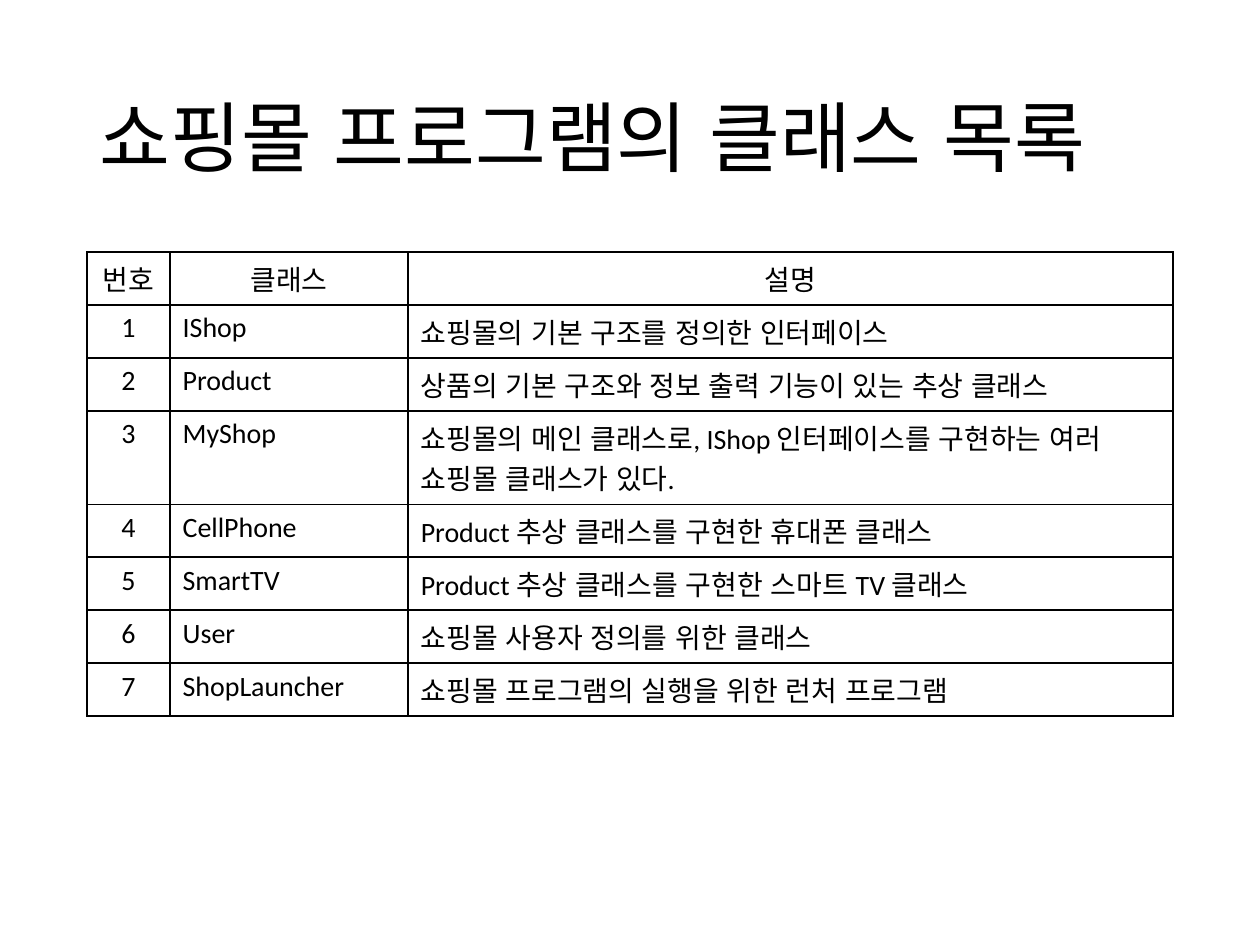
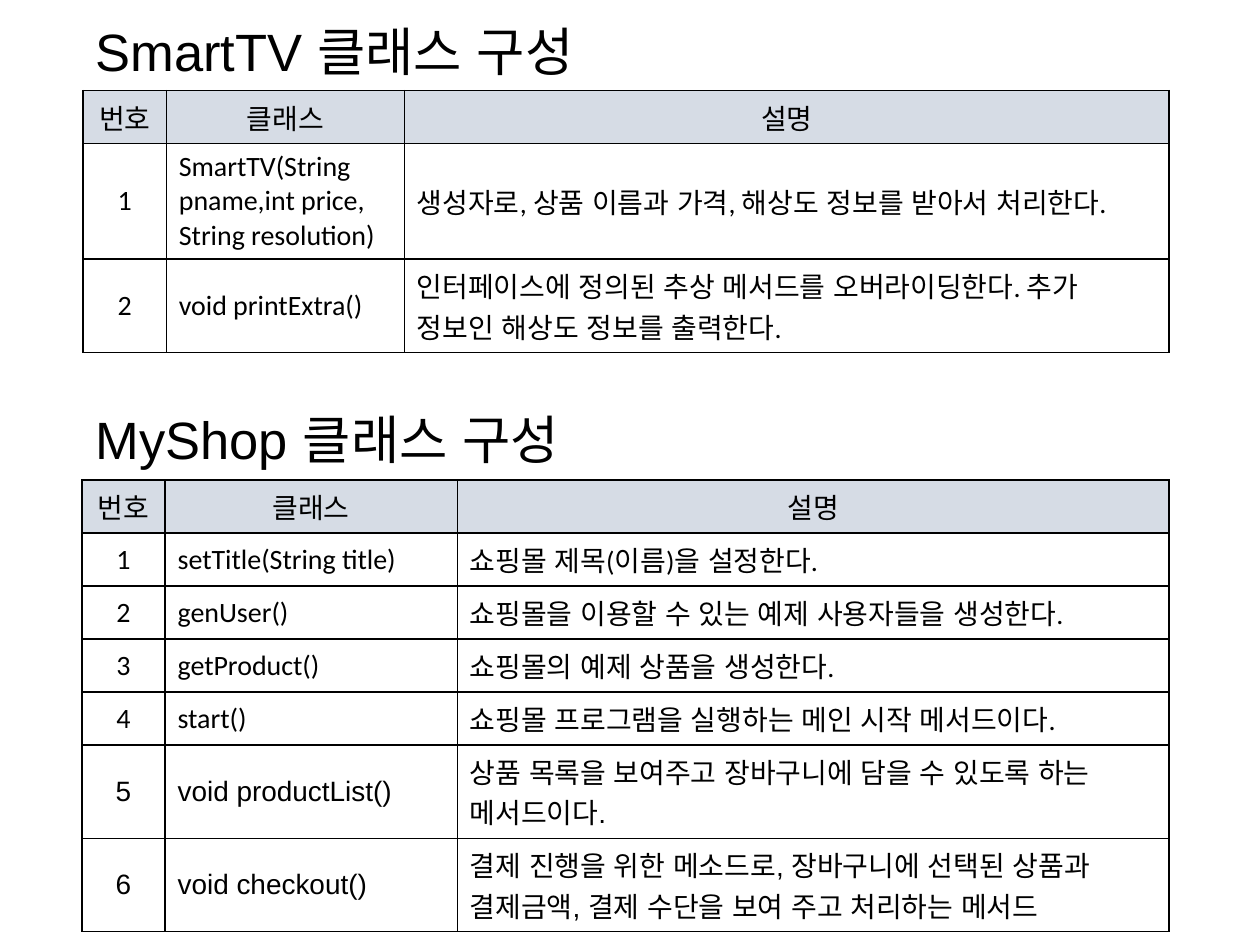
from dataclasses import dataclass

from lxml import etree
from pptx import Presentation
from pptx import util as u
from pptx.dml.color import RGBColor
from pptx.enum import lang, text
from pptx.oxml import ns


@dataclass(frozen=True)
class Theme:
    ink: str = "000000"
    header_fill: str = "D6DCE5"
    body_font: str = "Calibri"
    code_font: str = "Arial"
    title_size: int = 44
    heading_size: int = 30
    cell_size: int = 16
    row_height: float = 0.41
    border: float = 1


THEME = Theme()
HEADER = ("번호", "클래스", "설명")
COLUMNS = (0.66, 1.89, 6.07)
WIDE_COLUMNS = (0.66, 2.32, 5.65)

SHOP_CLASSES = [
    ("IShop", "쇼핑몰의 기본 구조를 정의한 인터페이스"),
    ("Product", "상품의 기본 구조와 정보 출력 기능이 있는 추상 클래스"),
    ("MyShop", "쇼핑몰의 메인 클래스로, IShop 인터페이스를 구현하는 여러 쇼핑몰 클래스가 있다."),
    ("CellPhone", "Product 추상 클래스를 구현한 휴대폰 클래스"),
    ("SmartTV", "Product 추상 클래스를 구현한 스마트 TV 클래스"),
    ("User", "쇼핑몰 사용자 정의를 위한 클래스"),
    ("ShopLauncher", "쇼핑몰 프로그램의 실행을 위한 런처 프로그램"),
]
SMART_TV_MEMBERS = [
    ("SmartTV(String pname,int price, String resolution)",
     "생성자로, 상품 이름과 가격, 해상도 정보를 받아서 처리한다."),
    ("void printExtra()",
     "인터페이스에 정의된 추상 메서드를 오버라이딩한다. 추가 정보인 해상도 정보를 출력한다."),
]
MY_SHOP_MEMBERS = [
    ("setTitle(String title)", "쇼핑몰 제목(이름)을 설정한다."),
    ("genUser()", "쇼핑몰을 이용할 수 있는 예제 사용자들을 생성한다."),
    ("getProduct()", "쇼핑몰의 예제 상품을 생성한다."),
    ("start()", "쇼핑몰 프로그램을 실행하는 메인 시작 메서드이다."),
    ("void productList()", "상품 목록을 보여주고 장바구니에 담을 수 있도록 하는 메서드이다."),
    ("void checkout()",
     "결제 진행을 위한 메소드로, 장바구니에 선택된 상품과 결제금액, 결제 수단을 보여 주고 처리하는 메서드"),
]


def style_paragraph(paragraph, size, font_name, align):
    paragraph.alignment = align
    font = paragraph.font
    font.size, font.name, font.bold = u.Pt(size), font_name, False
    font.color.rgb = RGBColor.from_string(THEME.ink)
    font.language_id = lang.MSO_LANGUAGE_ID.KOREAN


def write_heading(heading, box, words, size, font_name):
    """Place and format a title placeholder or a heading text box."""
    heading.left, heading.top, heading.width, heading.height = map(u.Inches, box)
    frame = heading.text_frame
    frame.text = words
    frame.word_wrap = True
    frame.auto_size = text.MSO_AUTO_SIZE.NONE
    frame.vertical_anchor = text.MSO_ANCHOR.MIDDLE
    line = frame.paragraphs[0]
    line.line_spacing = 0.9
    style_paragraph(line, size, font_name, text.PP_ALIGN.LEFT)


def outline_cell(cell):
    """Border lines come before the fill in the cell properties."""
    properties = cell._tc.get_or_add_tcPr()
    for position, side in enumerate(("lnL", "lnR", "lnT", "lnB")):
        edge = etree.Element(ns.qn(f"a:{side}"), w=str(u.Pt(THEME.border)))
        solid = etree.SubElement(edge, ns.qn("a:solidFill"))
        etree.SubElement(solid, ns.qn("a:srgbClr"), val=THEME.ink)
        properties.insert(position, edge)


def class_table(slide, left, top, columns, entries, header_fill=None,
                anchor=text.MSO_ANCHOR.MIDDLE, code_rows=()):
    """Numbered table of classes or methods; code_rows use the code font."""
    rows = [HEADER] + [(str(n), *entry) for n, entry in enumerate(entries, 1)]
    frame = slide.shapes.add_table(
        len(rows), len(columns), u.Inches(left), u.Inches(top),
        u.Inches(sum(columns)), u.Inches(THEME.row_height * len(rows)))
    table = frame.table
    table.first_row = table.horz_banding = False
    for column, width in zip(table.columns, columns):
        column.width = u.Inches(width)

    for r, row in enumerate(rows):
        table.rows[r].height = u.Inches(THEME.row_height)
        font_name = THEME.code_font if r in code_rows else THEME.body_font
        for c, words in enumerate(row):
            cell = table.cell(r, c)
            cell.text = words
            cell.vertical_anchor = anchor
            centred = r == 0 or c == 0
            style_paragraph(cell.text_frame.paragraphs[0], THEME.cell_size, font_name,
                            text.PP_ALIGN.CENTER if centred else text.PP_ALIGN.LEFT)
            if r == 0 and header_fill:
                cell.fill.solid()
                cell.fill.fore_color.rgb = RGBColor.from_string(header_fill)
            else:
                cell.fill.background()
            outline_cell(cell)


def class_list_slide(slide):
    write_heading(slide.shapes.title, (0.69, 0.4, 8.62, 1.45),
                  "쇼핑몰 프로그램의 클래스 목록", THEME.title_size, THEME.body_font)
    class_table(slide, 0.69, 2, COLUMNS, SHOP_CLASSES, anchor=text.MSO_ANCHOR.TOP)


def class_members_slide(slide):
    # Lower section: MyShop
    write_heading(slide.shapes.title, (0.66, 3.23, 8.49, 0.57),
                  "MyShop 클래스 구성", THEME.heading_size, THEME.code_font)
    class_table(slide, 0.65, 3.81, WIDE_COLUMNS, MY_SHOP_MEMBERS,
                THEME.header_fill, code_rows=(5, 6))
    # Upper section: SmartTV
    smart_tv_heading = slide.shapes.add_textbox(0, 0, 0, 0)
    write_heading(smart_tv_heading, (0.66, 0.15, 8.49, 0.57),
                  "SmartTV 클래스 구성", THEME.heading_size, THEME.code_font)
    class_table(slide, 0.66, 0.72, COLUMNS, SMART_TV_MEMBERS, THEME.header_fill)


deck = Presentation()
deck.slide_width, deck.slide_height = u.Inches(10), u.Inches(7.5)
title_only = deck.slide_layouts[5]
for build in (class_list_slide, class_members_slide):
    build(deck.slides.add_slide(title_only))
deck.save("out.pptx")
